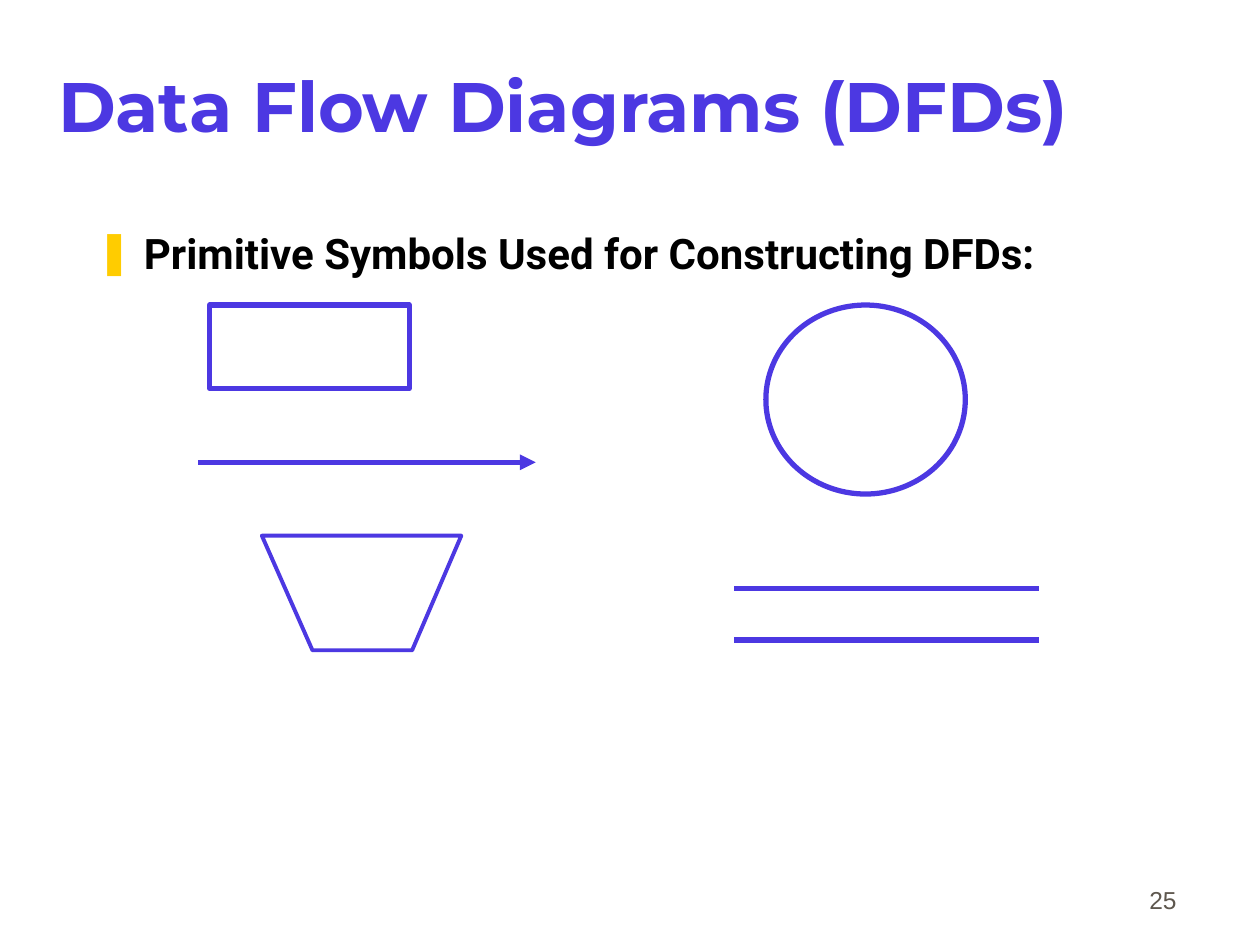
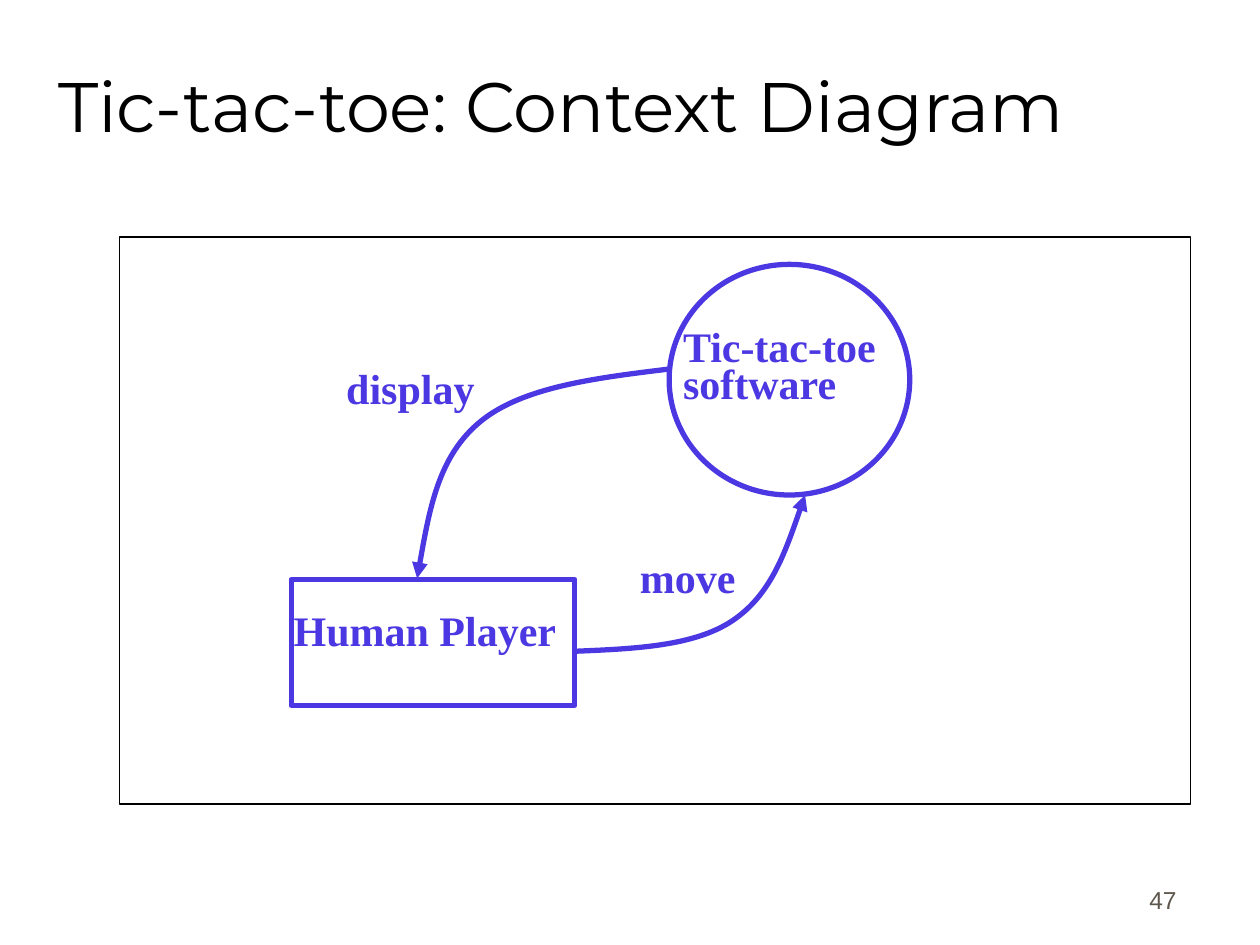
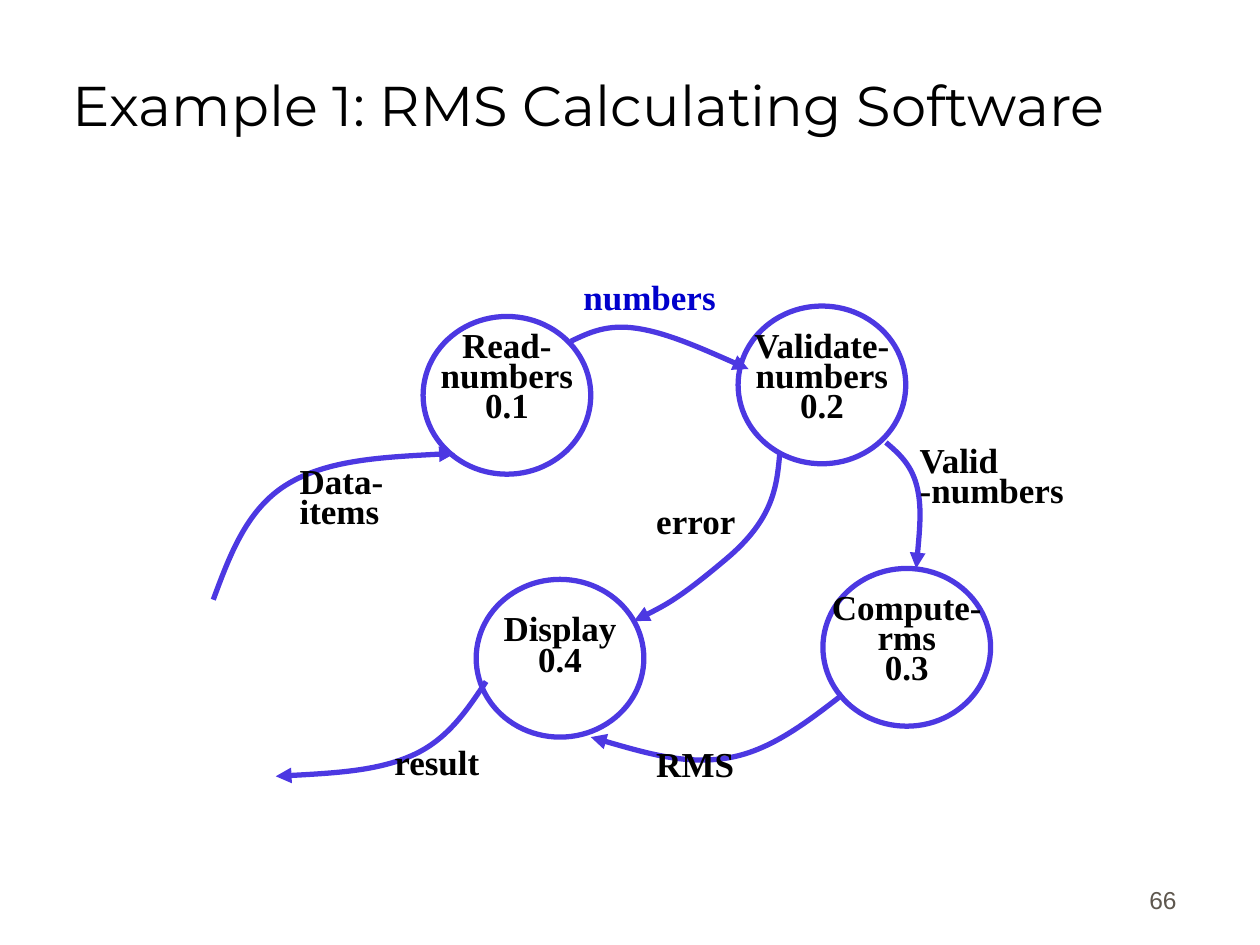
from dataclasses import dataclass

from lxml.etree import SubElement
from pptx import Presentation
from pptx.dml.color import RGBColor
from pptx.enum.shapes import MSO_CONNECTOR, MSO_SHAPE
from pptx.enum.text import MSO_ANCHOR, MSO_AUTO_SIZE, PP_ALIGN
from pptx.oxml.ns import qn
from pptx.util import Cm, Pt

VIOLET = RGBColor(0x4C, 0x38, 0xE2)
BLACK = RGBColor(0, 0, 0)
BLUE = RGBColor(0, 0, 0xCC)
GRAY = RGBColor(0x5E, 0x57, 0x4E)
YELLOW = RGBColor(0xFF, 0xCC, 0x00)

TITLE_LAYOUT, BODY_LAYOUT = 5, 1
BIG_TITLE = {"name": "Montserrat", "size": Pt(40), "bold": False}
BOLD_TITLE = BIG_TITLE | {"bold": True}
SMALL_TITLE = BIG_TITLE | {"size": Pt(32)}
BODY_FONT = {"name": "Roboto", "size": Pt(24), "bold": True}
NUMBER_FONT = {"name": "Arial", "size": Pt(14), "bold": False}
LARGE_LABEL = {"name": "Times New Roman", "size": Pt(24), "bold": True}
SMALL_LABEL = LARGE_LABEL | {"size": Pt(20)}
LABEL_LINES = 0.72


@dataclass
class Box:
    """A rectangle on the page, in centimetres."""
    left: float
    top: float
    width: float
    height: float

    def inner(self, left, top, width, height):
        return Box(self.left + left, self.top + top, width, height)

    def point(self, x, y):
        return Cm(self.left + x), Cm(self.top + y)

    def lengths(self):
        return [Cm(value) for value in (self.left, self.top, self.width, self.height)]


TITLE_BOX = Box(1.12, 0.51, 21.59, 3.18)
BODY_BOX = Box(1.9, 4.45, 21.59, 11.43)
NUMBER_BOX = Box(18.69, 17.3, 5.28, 1.27)
SYMBOLS_BOX = Box(4, 6.15, 16.95, 6.96)
CONTEXT_BOX = Box(2.41, 4.78, 21.59, 11.43)
RMS_BOX = Box(4.3, 5.65, 18, 10.5)


def write(shape, text, font, color, before, align=PP_ALIGN.LEFT,
          anchor=MSO_ANCHOR.TOP, lines=None, margin=0.05):
    """Fill a shape with one formatted paragraph and return the paragraph."""
    frame = shape.text_frame
    settings = {"word_wrap": True, "auto_size": MSO_AUTO_SIZE.NONE,
                "vertical_anchor": anchor,
                "margin_left": Cm(margin), "margin_right": Cm(margin),
                "margin_top": Cm(0.13), "margin_bottom": Cm(0.13)}
    for name, value in settings.items():
        setattr(frame, name, value)
    para = frame.paragraphs[0]
    para.text = text
    spacing = {"alignment": align, "space_before": Pt(before), "line_spacing": lines}
    for name, value in spacing.items():
        setattr(para, name, value)
    for span in para.runs:
        for name, value in font.items():
            setattr(span.font, name, value)
        span.font.color.rgb = color
    return para


def place(shape, box):
    for name, value in zip(("left", "top", "width", "height"), box.lengths()):
        setattr(shape, name, value)


def add_page(deck, layout, title, font, color, before, number, margin=0.05):
    """Add a slide with its title and page number."""
    page = deck.slides.add_slide(deck.slide_layouts[layout])
    place(page.shapes.title, TITLE_BOX)
    write(page.shapes.title, title, font, color, before,
          anchor=MSO_ANCHOR.MIDDLE, margin=margin)
    write(page.shapes.add_textbox(*NUMBER_BOX.lengths()), number, NUMBER_FONT, GRAY, 8.8,
          align=PP_ALIGN.RIGHT, anchor=MSO_ANCHOR.BOTTOM, margin=0.25)
    return page


def add_bullet(para):
    properties = para._p.get_or_add_pPr()
    properties.set("marL", str(Cm(0.95)))
    properties.set("indent", str(-Cm(0.95)))
    bullet_color = SubElement(properties, qn("a:buClr"))
    SubElement(bullet_color, qn("a:srgbClr"), val=str(YELLOW))
    SubElement(properties, qn("a:buChar"), char="❚")


def add_label(page, box, text, font, color, align=PP_ALIGN.LEFT):
    before = 13.6 if font is LARGE_LABEL else 11.4
    write(page.shapes.add_textbox(*box.lengths()), text, font, color, before,
          align=align, lines=LABEL_LINES)


def draw_outline(shape, color=VIOLET, weight=3):
    shape.shadow.inherit = False
    shape.fill.background()
    shape.line.color.rgb = color
    shape.line.width = Pt(weight)


def add_outline(page, kind, box, **style):
    draw_outline(page.shapes.add_shape(kind, *box.lengths()), **style)


def add_arrowhead(shape):
    SubElement(shape.line._get_or_add_ln(), qn("a:tailEnd"), type="triangle")


def add_line(page, start, end):
    line = page.shapes.add_connector(MSO_CONNECTOR.STRAIGHT, *start, *end)
    line.line.color.rgb = VIOLET
    line.line.width = Pt(3)
    SubElement(line._element.spPr, qn("a:effectLst"))
    return line


def add_polygon(page, points, close):
    builder = page.shapes.build_freeform(*points[0])
    builder.add_line_segments(points[1:], close=close)
    return builder.convert_to_shape()


def midpoint(first, second):
    return tuple((a + b) // 2 for a, b in zip(first, second))


def add_curved_arrow(page, box, start, first, second, end):
    """Draw two joined Bézier curves that are pulled towards two points."""
    start, first, second, end = (box.point(*spot) for spot in (start, first, second, end))
    points = [start, midpoint(start, first), first, midpoint(first, second),
              second, midpoint(second, end), end]
    arrow = add_polygon(page, points, close=False)
    outline = next(arrow._element.iter(qn("a:path")))
    segments = outline.findall(qn("a:lnTo"))
    for index in range(0, len(segments), 3):
        curve = SubElement(outline, qn("a:cubicBezTo"))
        for segment in segments[index:index + 3]:
            curve.append(segment[0])
            outline.remove(segment)
    draw_outline(arrow)
    add_arrowhead(arrow)


def draw_symbols(page, box):
    add_outline(page, MSO_SHAPE.RECTANGLE, box.inner(0.23, 0, 4.02, 1.68))
    add_outline(page, MSO_SHAPE.OVAL, box.inner(11.44, 0, 4.02, 3.81))
    add_arrowhead(add_line(page, box.point(0, 3.17), box.point(6.8, 3.17)))
    for y in (5.71, 6.75):
        add_line(page, box.point(10.8, y), box.point(box.width, y))
    corners = [(1.28, 4.65), (5.3, 4.65), (4.31, 6.96), (2.3, 6.96)]
    trapezoid = add_polygon(page, [box.point(*corner) for corner in corners], close=True)
    draw_outline(trapezoid, weight=2.25)


def draw_context(page, box):
    add_outline(page, MSO_SHAPE.RECTANGLE, box, color=BLACK, weight=0.75)
    add_outline(page, MSO_SHAPE.OVAL, box.inner(11.08, 0.55, 4.85, 4.65))
    add_outline(page, MSO_SHAPE.RECTANGLE, box.inner(3.46, 6.9, 5.72, 2.54))
    add_curved_arrow(page, box, (11.08, 2.66), (8.13, 3.02), (6.43, 4.41), (6, 6.88))
    add_curved_arrow(page, box, (9.17, 8.35), (11.59, 8.25), (13.13, 7.21), (13.82, 5.2))
    labels = {
        "Human Player": (3.46, 7.54, 5.92, 1.27),
        "Tic-tac-toe software": (11.31, 1.82, 4.65, 2.29),
        "display": (4.52, 2.66, 3.81, 1.27),
        "move": (10.44, 6.47, 4.45, 1.27),
    }
    for text, area in labels.items():
        add_label(page, box.inner(*area), text, LARGE_LABEL, VIOLET)


def draw_rms_flow(page, box):
    processes = [  # text, left, top, text offset
        ("Read-numbers\n0.1", 4.23, 0.73, 0.22),
        ("Validate-numbers\n0.2", 10.58, 0.52, 0.43),
        ("Compute-rms\n0.3", 12.29, 5.81, 0.43),
        ("Display\n0.4", 5.3, 6.03, 0.64),
    ]
    flows = [  # text, label left, top and width, colour, arrow points
        ("Data-items", 1.69, 3.7, 3.3, BLACK,
         [(0, 6.44), (0.68, 4.61), (2.3, 3.62), (4.87, 3.49)]),
        ("numbers", 7.41, 0, 3.38, BLUE,
         [(7.21, 1.23), (7.94, 0.88), (9.14, 1.06), (10.79, 1.79)]),
        ("Valid -numbers", 14.19, 3.27, 3.38, BLACK,
         [(13.56, 3.27), (14.06, 3.7), (14.29, 4.54), (14.17, 5.81)]),
        ("RMS", 8.88, 9.41, 2.54, BLACK,
         [(12.69, 8.35), (11.22, 9.49), (9.52, 9.77), (7.61, 9.21)]),
        ("result", 3.6, 9.36, 2.54, BLACK,
         [(5.5, 8.09), (4.72, 9.26), (3.32, 9.89), (1.26, 10)]),
        ("error", 8.88, 4.51, 3.38, BLACK,
         [(11.42, 3.49), (11.3, 4.81), (9.39, 6.42), (8.48, 6.87)]),
    ]
    for text, left, top, offset in processes:
        add_outline(page, MSO_SHAPE.OVAL, box.inner(left, top, 3.38, 3.18))
        add_label(page, box.inner(left, top + offset, 3.38, 2.6), text,
                  SMALL_LABEL, BLACK, PP_ALIGN.CENTER)
    for text, left, top, width, color, points in flows:
        add_curved_arrow(page, box, *points)
        add_label(page, box.inner(left, top, width, 1.1), text, SMALL_LABEL, color)


def add_symbols_page(deck):
    page = add_page(deck, BODY_LAYOUT, "Data Flow Diagrams (DFDs)",
                    BOLD_TITLE, VIOLET, 9.9, "25")
    body = page.placeholders[1]
    place(body, BODY_BOX)
    add_bullet(write(body, "Primitive Symbols Used for Constructing DFDs:",
                     BODY_FONT, BLACK, 5.4))
    draw_symbols(page, SYMBOLS_BOX)


def add_context_page(deck):
    page = add_page(deck, TITLE_LAYOUT, "Tic-tac-toe: Context Diagram",
                    BIG_TITLE, BLACK, 9.9, "47")
    draw_context(page, CONTEXT_BOX)


def add_rms_page(deck):
    page = add_page(deck, TITLE_LAYOUT, "Example 1: RMS Calculating Software",
                    SMALL_TITLE, BLACK, 7.1, "66", margin=0.35)
    draw_rms_flow(page, RMS_BOX)


def main():
    deck = Presentation()
    deck.slide_width, deck.slide_height = Cm(25.4), Cm(19.05)
    add_symbols_page(deck)
    add_context_page(deck)
    add_rms_page(deck)
    deck.save("out.pptx")


if __name__ == "__main__":
    main()
